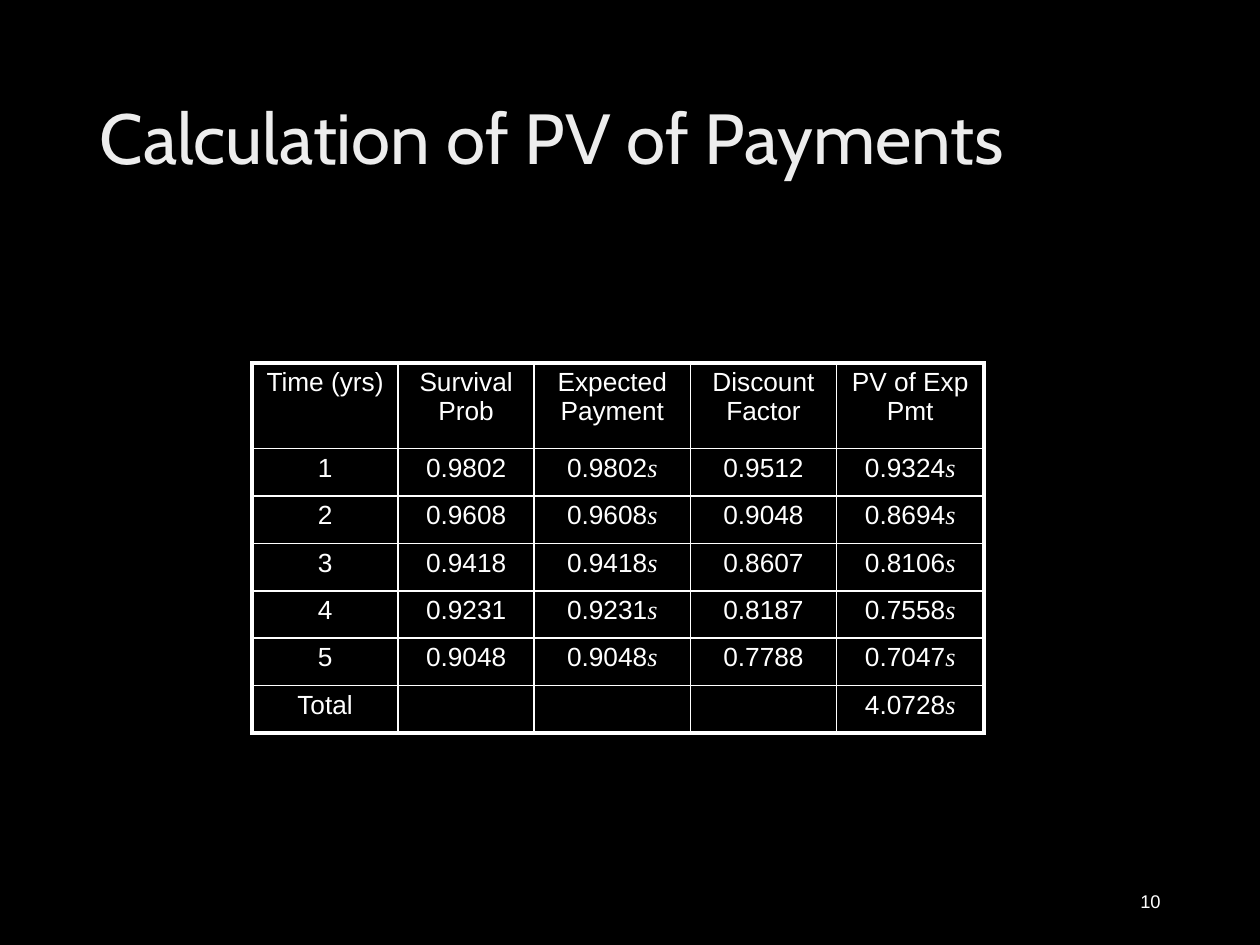
from typing import NamedTuple

from lxml.etree import SubElement
from pptx import Presentation
from pptx.dml.color import RGBColor
from pptx.enum.text import MSO_ANCHOR as Anchor, PP_ALIGN as Align
from pptx.oxml.ns import qn
from pptx.util import Inches, Pt

WHITE, BLACK = "FFFFFF", "000000"
THIN, THICK = 1, 2.25


class Box(NamedTuple):
    left: float
    top: float
    width: float
    height: float

    def lengths(self) -> list:
        return [Inches(side) for side in self]


class Year(NamedTuple):
    time: str
    survival: str
    discount: str
    present_value: str

    def cells(self) -> list[str]:
        return [self.time, self.survival, self.survival + "s", self.discount, self.present_value + "s"]


TITLE_BOX = Box(0.69, 0.4, 8.62, 1.45)
NUMBER_BOX = Box(7.06, 6.95, 2.25, 0.4)
TABLE_BOX = Box(2, 2.88, 5.81, 2.94)
COLUMN_WIDTHS = [1.16, 1.08, 1.24, 1.16, 1.17]
HEADER_HEIGHT = 0.68
TITLE_STOPS = [(0, "BFBFBF"), (28, "EDEDED"), (100, "FFFFFF")]

HEADINGS = ["Time (yrs)", "Survival Prob", "Expected Payment", "Discount Factor", "PV of Exp Pmt"]
YEARS = [
    Year("1", "0.9802", "0.9512", "0.9324"),
    Year("2", "0.9608", "0.9048", "0.8694"),
    Year("3", "0.9418", "0.8607", "0.8106"),
    Year("4", "0.9231", "0.8187", "0.7558"),
    Year("5", "0.9048", "0.7788", "0.7047"),
]
TOTAL = ["Total", "", "", "", "4.0728s"]


def color(code: str) -> RGBColor:
    return RGBColor.from_string(code)


def format_run(run, size: float, face: str = "Arial", italic: bool = False) -> None:
    run.font.size, run.font.name, run.font.italic = Pt(size), face, italic
    run.font.color.rgb = color(WHITE)


def draw_title(slide, wording: str) -> None:
    title = slide.shapes.title
    title.left, title.top, title.width, title.height = TITLE_BOX.lengths()
    title.text_frame.text = wording
    title.text_frame.vertical_anchor = Anchor.MIDDLE
    heading = title.text_frame.paragraphs[0]
    heading.alignment, heading.line_spacing = Align.LEFT, 0.9
    run = heading.runs[0]
    run.font.size, run.font.name = Pt(40.5), "Cabin"
    run.font.fill.gradient()
    run.font.fill.gradient_angle = 280
    stops = run.font.fill._fill._gradFill.find(qn("a:gsLst"))
    stops.clear()
    for share, code in TITLE_STOPS:
        stop = SubElement(stops, qn("a:gs"), pos=str(share * 1000))
        SubElement(stop, qn("a:srgbClr"), val=code)


def draw_number(slide, number: str) -> None:
    frame = slide.shapes.add_textbox(*NUMBER_BOX.lengths()).text_frame
    frame.word_wrap, frame.vertical_anchor = True, Anchor.MIDDLE
    frame.text = number
    frame.paragraphs[0].alignment = Align.RIGHT
    format_run(frame.paragraphs[0].runs[0], 10.5)


def draw_borders(cell, widths: dict[str, float]) -> None:
    properties = cell._tc.get_or_add_tcPr()
    for position, (side, width) in enumerate(widths.items()):
        line = properties.makeelement(qn(f"a:{side}"), {"w": str(Pt(width))})
        fill = SubElement(line, qn("a:solidFill"))
        SubElement(fill, qn("a:srgbClr"), val=WHITE)
        properties.insert(position, line)


def fill_cell(cell, wording: str) -> None:
    cell.fill.solid()
    cell.fill.fore_color.rgb = color(BLACK)
    cell.margin_left = cell.margin_right = Inches(0.07)
    cell.margin_top = cell.margin_bottom = Inches(0.04)
    entry = cell.text_frame.paragraphs[0]
    entry.alignment = Align.CENTER
    before = SubElement(entry._p.get_or_add_pPr(), qn("a:spcBef"))
    SubElement(before, qn("a:spcPct"), val="20000")
    entry.font.size = Pt(15)
    has_symbol = wording.endswith("s") and wording[0].isdigit()
    amount = wording[:-1] if has_symbol else wording
    if amount:
        entry.add_run().text = amount
        format_run(entry.runs[0], 15)
    if has_symbol:
        entry.add_run().text = "s"
        format_run(entry.runs[1], 15, "Times New Roman", True)


def draw_table(slide, rows: list[list[str]]) -> None:
    last_row, last_column = len(rows) - 1, len(COLUMN_WIDTHS) - 1
    table = slide.shapes.add_table(len(rows), len(COLUMN_WIDTHS), *TABLE_BOX.lengths()).table
    table.first_row = table.horz_banding = False
    for column, width in zip(table.columns, COLUMN_WIDTHS):
        column.width = Inches(width)
    body_height = (TABLE_BOX.height - HEADER_HEIGHT) / last_row
    for r, row in enumerate(rows):
        table.rows[r].height = Inches(body_height if r else HEADER_HEIGHT)
        for c, wording in enumerate(row):
            cell = table.cell(r, c)
            fill_cell(cell, wording)
            outer = {"lnL": c == 0, "lnR": c == last_column, "lnT": r == 0, "lnB": r == last_row}
            draw_borders(cell, {side: THICK if edge else THIN for side, edge in outer.items()})


def main() -> None:
    deck = Presentation()
    deck.slide_width, deck.slide_height = Inches(10), Inches(7.5)
    slide = deck.slides.add_slide(deck.slide_layouts[5])
    slide.background.fill.solid()
    slide.background.fill.fore_color.rgb = color(BLACK)
    draw_title(slide, "Calculation of PV of Payments")
    draw_number(slide, "10")
    draw_table(slide, [HEADINGS, *(year.cells() for year in YEARS), TOTAL])
    deck.save("out.pptx")


if __name__ == "__main__":
    main()
